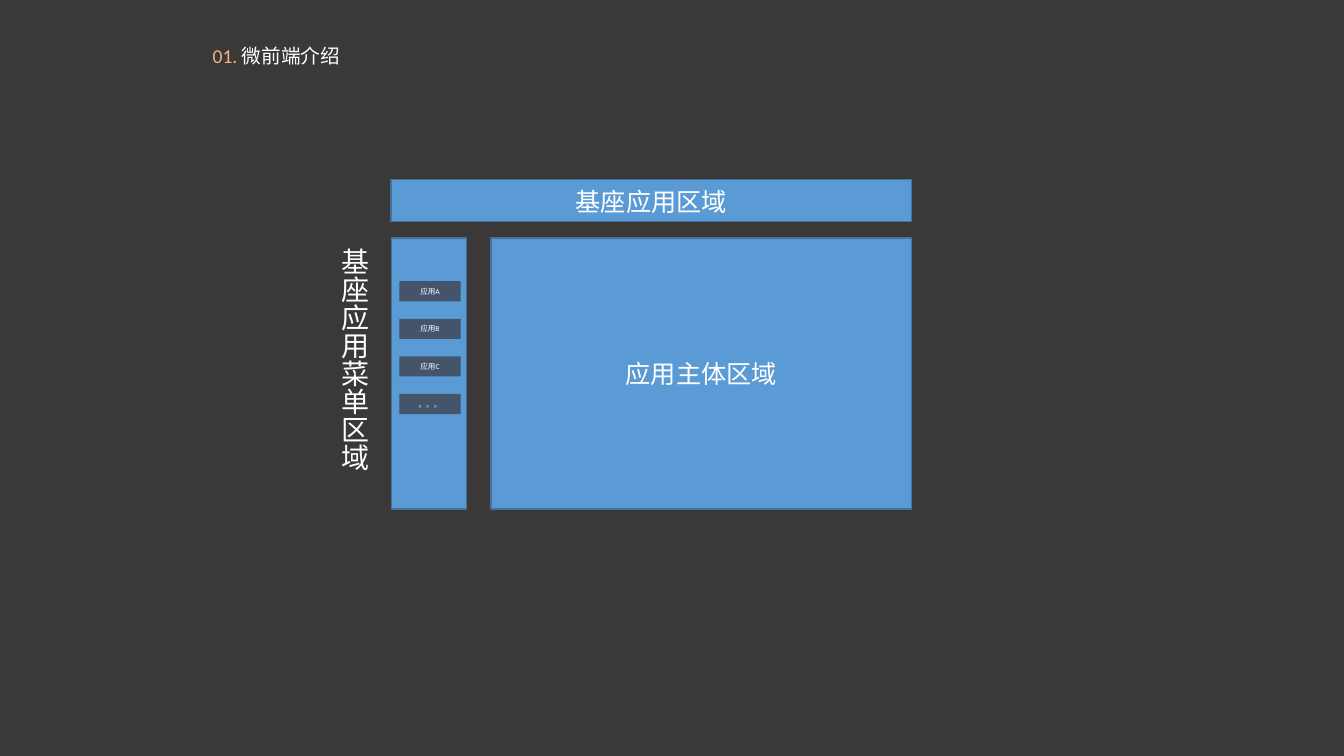
from pptx import Presentation
from pptx.dml.color import RGBColor
from pptx.enum.shapes import MSO_SHAPE
from pptx.enum.text import MSO_ANCHOR, PP_ALIGN
from pptx.util import Inches, Pt

COLORS = {
    "background": "3B3838",
    "panel": "5B9BD5",
    "border": "43739E",
    "button": "44546A",
    "number": "F4B183",
    "white": "FFFFFF",
}

deck = Presentation()
deck.slide_width, deck.slide_height = Inches(13.33), Inches(7.5)
slide = deck.slides.add_slide(deck.slide_layouts[6])
slide.background.fill.solid()
slide.background.fill.fore_color.rgb = RGBColor.from_string(COLORS["background"])


def add_block(left, top, width, height, fill=None, line=None):
    """Add a filled rectangle, or a plain text box when there is no fill."""
    area = [Inches(value) for value in (left, top, width, height)]
    if fill is None:
        return slide.shapes.add_textbox(*area)
    box = slide.shapes.add_shape(MSO_SHAPE.RECTANGLE, *area)
    box.shadow.inherit = False
    box.fill.solid()
    box.fill.fore_color.rgb = RGBColor.from_string(COLORS[fill])
    if line:
        box.line.color.rgb = RGBColor.from_string(COLORS[line])
        box.line.width = Pt(1)
    else:
        box.line.fill.background()
    return box


def write(box, text, size=18, color="white", align=PP_ALIGN.CENTER, anchor=MSO_ANCHOR.MIDDLE):
    """Append a formatted run to the first paragraph of a box."""
    frame = box.text_frame
    frame.word_wrap = True
    frame.vertical_anchor = anchor
    para = frame.paragraphs[0]
    para.alignment = align
    span = para.add_run()
    span.text = text
    span.font.name = "Calibri"
    span.font.size = Pt(size)
    span.font.color.rgb = RGBColor.from_string(COLORS[color])


# Heading
heading = add_block(2.01, 0.39, 2.85, 0.34)
for text, color in (("01. ", "number"), ("微前端介绍", "white")):
    write(heading, text, size=14, color=color, align=PP_ALIGN.LEFT, anchor=MSO_ANCHOR.TOP)

# Base application bar
add_block(3.88, 1.78, 5.16, 0.42, fill="panel", line="border")
bar_label = add_block(3.88, 1.8, 5.16, 0.4)
write(bar_label, "基座应用区域", anchor=MSO_ANCHOR.TOP)

# Menu column and main area
add_block(3.88, 2.36, 0.75, 2.69, fill="panel", line="border")
main_area = add_block(4.87, 2.36, 4.17, 2.69, fill="panel", line="border")
write(main_area, "应用主体区域")

# Menu buttons
for index, name in enumerate(("应用A", "应用B", "应用C", "。。。")):
    button = add_block(3.96, 2.79 + index * 0.373, 0.61, 0.2, fill="button")
    write(button, name, size=5.4)

# Vertical menu caption
caption = add_block(2.82, 2.36, 0.91, 2.69)
write(caption, "基座应用菜单区域", size=20, align=PP_ALIGN.JUSTIFY, anchor=MSO_ANCHOR.TOP)
caption.text_frame._txBody.bodyPr.set("vert", "eaVert")

deck.save("out.pptx")
